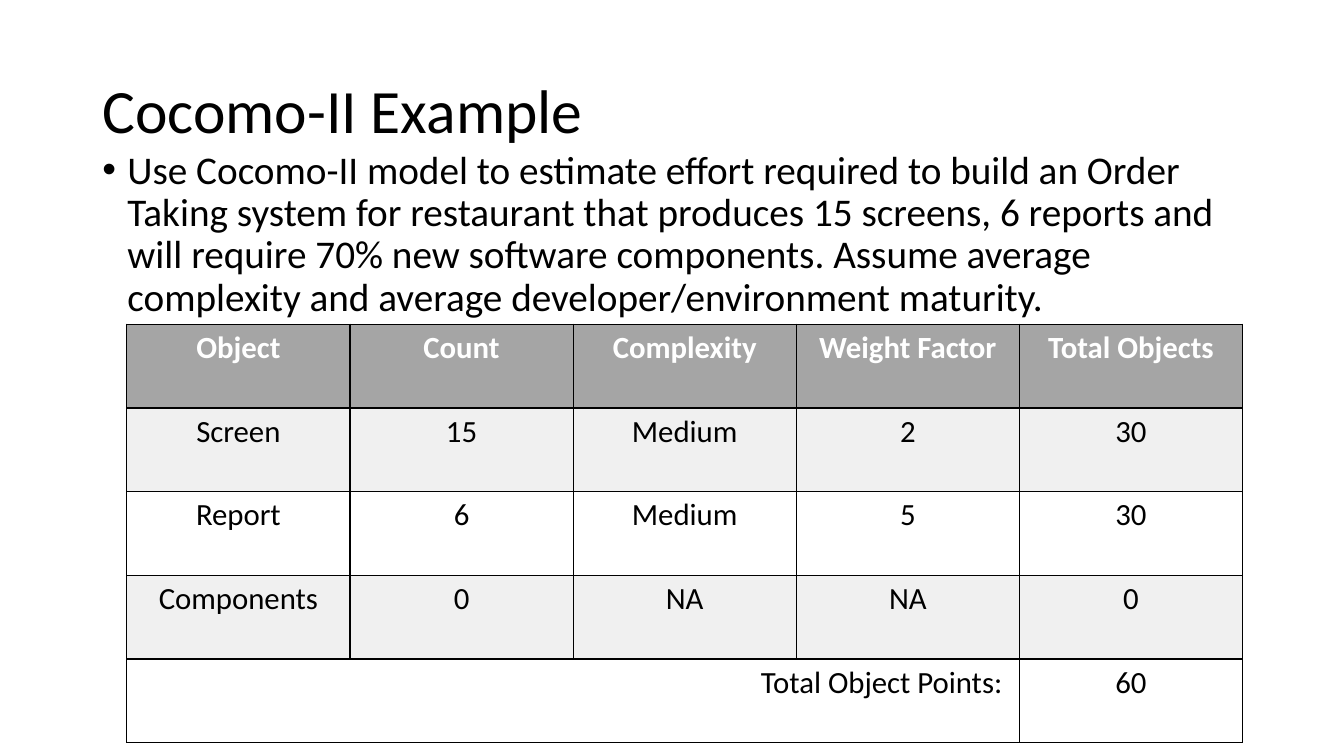
from pptx import Presentation
from pptx.dml.color import RGBColor
from pptx.enum.text import MSO_ANCHOR, PP_ALIGN
from pptx.oxml import parse_xml
from pptx.oxml.ns import nsdecls
from pptx.util import Pt

TOP, MIDDLE = MSO_ANCHOR.TOP, MSO_ANCHOR.MIDDLE
CENTER, RIGHT = PP_ALIGN.CENTER, PP_ALIGN.RIGHT
BLACK = RGBColor(0, 0, 0)
WHITE = RGBColor(255, 255, 255)
HEADER_GRAY = RGBColor(0xA5, 0xA5, 0xA5)
BAND_GRAY = RGBColor(0xF0, 0xF0, 0xF0)
FONT = "Calibri"

TITLE = "Cocomo-II Example"
TASK = (
    "Use Cocomo-II model to estimate effort required to build an Order Taking "
    "system for restaurant that produces 15 screens, 6 reports and will require "
    "70% new software components. Assume average complexity and average "
    "developer/environment maturity."
)
ROWS = [
    ("Object", "Count", "Complexity", "Weight Factor", "Total Objects"),
    ("Screen", "15", "Medium", "2", "30"),
    ("Report", "6", "Medium", "5", "30"),
    ("Components", "0", "NA", "NA", "0"),
    ("Total Object Points: ", "", "", "", "60"),
]
COL_W, ROW_H = 159.4, 59.8


def style(p, size, color, bold=False):
    for r in p.runs:
        r.font.name = FONT
        r.font.size = Pt(size)
        r.font.bold = bold
        r.font.color.rgb = color


def add_text(s, text, top, height, size, anchor):
    tf = s.shapes.add_textbox(Pt(66), Pt(top), Pt(828), Pt(height)).text_frame
    tf.word_wrap = True
    tf.vertical_anchor = anchor
    p = tf.paragraphs[0]
    p.text = text
    p.line_spacing = 0.9
    style(p, size, BLACK)
    return p


def add_bullet(p):
    pPr = p._p.get_or_add_pPr()
    pPr.set("marL", str(Pt(18)))
    pPr.set("indent", str(-Pt(18)))
    pPr.append(parse_xml(f'<a:buFont {nsdecls("a")} typeface="Arial"/>'))
    pPr.append(parse_xml(f'<a:buChar {nsdecls("a")} char="•"/>'))


def add_borders(cell):
    tcPr = cell._tc.get_or_add_tcPr()
    for i, side in enumerate(("lnL", "lnR", "lnT", "lnB")):
        tcPr.insert(i, parse_xml(
            f'<a:{side} {nsdecls("a")} w="{Pt(1)}"><a:solidFill>'
            f'<a:srgbClr val="{BLACK}"/></a:solidFill></a:{side}>'))


def add_points_table(s):
    n_rows, n_cols = len(ROWS), len(ROWS[0])
    table = s.shapes.add_table(n_rows, n_cols, Pt(90.6), Pt(231.6),
                               Pt(COL_W * n_cols), Pt(ROW_H * n_rows)).table
    for col in table.columns:
        col.width = Pt(COL_W)
    for i, values in enumerate(ROWS):
        table.rows[i].height = Pt(ROW_H)
        header = i == 0
        fill = HEADER_GRAY if header else BAND_GRAY if i % 2 else WHITE
        for j, value in enumerate(values):
            cell = table.cell(i, j)
            cell.fill.solid()
            cell.fill.fore_color.rgb = fill
            add_borders(cell)
            p = cell.text_frame.paragraphs[0]
            p.text = value
            p.alignment = CENTER
            style(p, 22, WHITE if header else BLACK, header)
    total = table.cell(n_rows - 1, 0)
    total.merge(table.cell(n_rows - 1, n_cols - 2))
    total.text_frame.paragraphs[0].alignment = RIGHT


def main():
    prs = Presentation()
    prs.slide_width, prs.slide_height = Pt(960), Pt(540)
    s = prs.slides.add_slide(prs.slide_layouts[6])
    add_text(s, TITLE, 28.8, 104.4, 44, MIDDLE)
    add_bullet(add_text(s, TASK, 103.7, 382.3, 28, TOP))
    add_points_table(s)
    prs.save("out.pptx")


if __name__ == "__main__":
    main()
